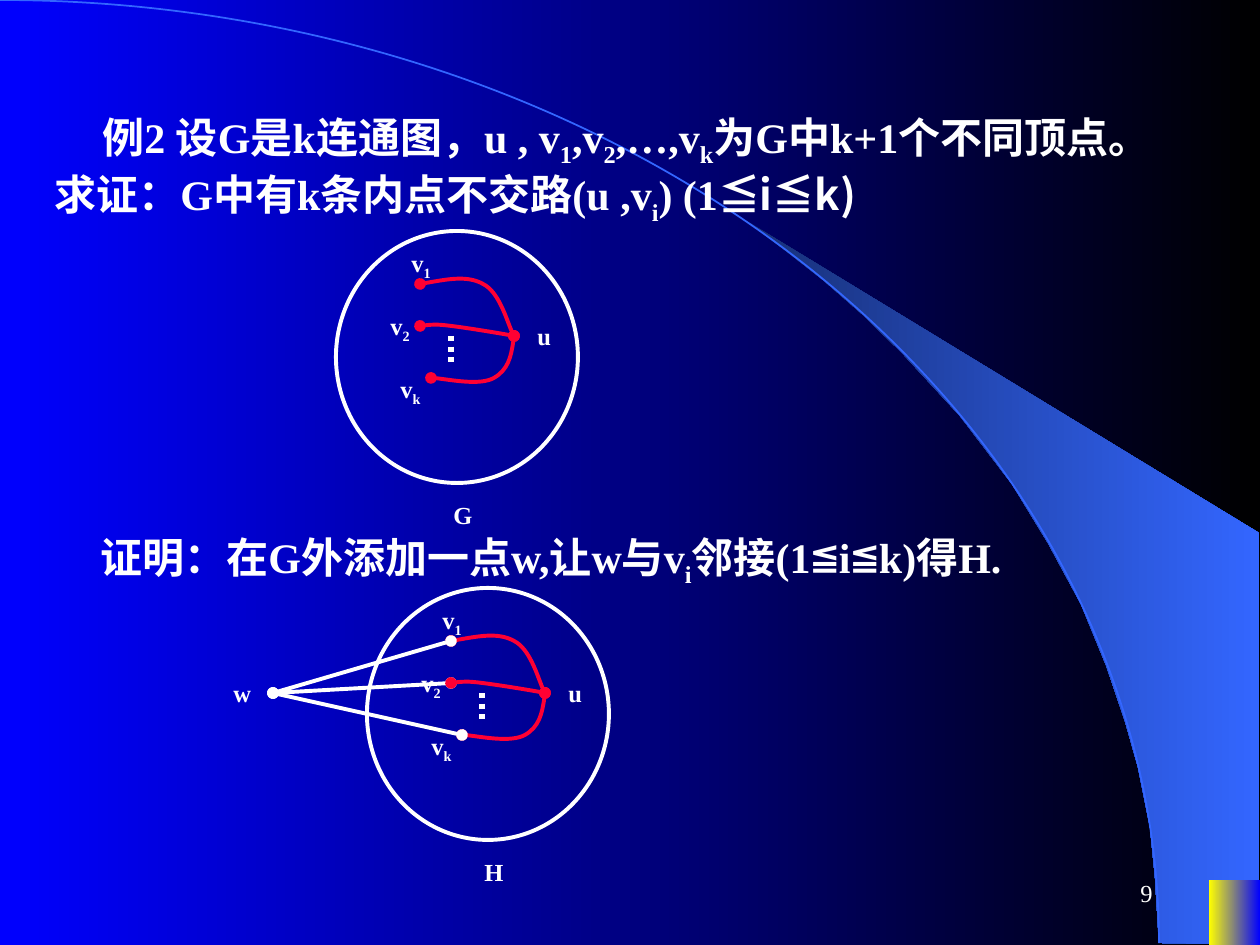
import dataclasses
import pptx
import pptx.dml.color
import pptx.enum.dml
import pptx.enum.shapes
import pptx.enum.text
import pptx.oxml
import pptx.oxml.ns
import pptx.util

SCALE = 914400 / 126


@dataclasses.dataclass(frozen=True)
class Theme:
    white: str = "FFFFFF"
    black: str = "000000"
    blue: str = "0000FF"
    sky: str = "3366FF"
    navy: str = "172F75"
    gold: str = "FFFF00"
    red: str = "FF0033"
    serif: str = "Times New Roman"
    sans: str = "Noto Sans CJK SC"
    body: int = 24
    small: int = 14
    thin: float = 1
    line: float = 2.25
    thick: float = 3


THEME = Theme()

HUB = (178, 105)
NODES = [(84, 53), (84, 95), (95, 147)]
PATHS = [
    [NODES[0], (108, 49), (131, 44), (147, 53), (163, 61), (173, 97), HUB],
    [NODES[1], (92, 94), (100, 93), (115, 95), (131, 97), (168, 103), HUB],
    [HUB, (176, 123), (172, 139), (158, 147), (144, 155), (105, 147), NODES[2]],
]
LABELS = [("v_1", 63, 11), ("u", 189, 84), ("v_2", 42, 74), ("v_k", 52, 137)]
WING = [
    (1159, 943), (1259, 944), (1259, 533), (742, 218), (786, 251),
    (823, 280), (863, 315), (902, 353), (960, 416), (1012, 484),
    (1048, 543), (1081, 604), (1106, 665), (1125, 721), (1138, 767),
    (1150, 827), (1155, 877), (1159, 943),
]


def px(value):
    return pptx.util.Emu(round(value * SCALE))


def rgb(name):
    return pptx.dml.color.RGBColor.from_string(name)


def child(parent, tag, **attrs):
    node = pptx.oxml.ns.qn(tag)
    item = parent.makeelement(node, attrs)
    parent.append(item)
    return item


def fade(fill, first, last):
    fill.gradient()
    fill.gradient_angle = 0
    for stop, color in zip(fill.gradient_stops, (first, last)):
        stop.color.rgb = rgb(color)


def stroke(shape, color, width, ends=False):
    shape.line.color.rgb = rgb(color)
    shape.line.width = pptx.util.Pt(width)
    if ends:
        ln = shape.line._get_or_add_ln()
        child(ln, "a:headEnd", type="oval")
        child(ln, "a:tailEnd", type="oval")


def trace(slide, points, close):
    spots = [(px(x), px(y)) for x, y in points]
    pen = slide.shapes.build_freeform(*spots[0], scale=1.0)
    pen.add_line_segments(spots[1:], close=close)
    shape = pen.convert_to_shape()
    shape.shadow.inherit = False
    return shape


def curve(slide, knots):
    shape = trace(slide, knots, False)
    route = shape._element.xpath(".//a:path")[0]
    legs = route.findall(pptx.oxml.ns.qn("a:lnTo"))
    for at in range(0, len(legs), 3):
        arc = child(route, "a:cubicBezTo")
        for leg in legs[at:at + 3]:
            arc.append(leg[0])
            route.remove(leg)
    shape.fill.background()
    stroke(shape, THEME.red, THEME.line, True)


def line(slide, start, end, width, dash=None, ends=False):
    kind = pptx.enum.shapes.MSO_CONNECTOR.STRAIGHT
    item = slide.shapes.add_connector(kind, *map(px, start + end))
    item.line.dash_style = dash
    stroke(item, THEME.white, width, ends)
    child(item._element.spPr, "a:effectLst")


def preset(slide, kind, box):
    shape = slide.shapes.add_shape(kind, *map(px, box))
    shape.shadow.inherit = False
    return shape


def outline(slide, kind, box, color, width):
    shape = preset(slide, kind, box)
    shape.fill.background()
    stroke(shape, color, width)


def style(run, size, bold=True, face=THEME.serif):
    font = run.font
    font.name = face
    font.size = pptx.util.Pt(size)
    font.bold = bold
    font.color.rgb = rgb(THEME.white)
    child(font._element, "a:ea", typeface=THEME.sans)


def text(slide, box, words, size, bold=True, tail=""):
    frame = slide.shapes.add_textbox(*map(px, box)).text_frame
    frame.word_wrap = True
    para = frame.paragraphs[0]
    for index, part in enumerate(words.split("_")):
        run = para.add_run()
        run.text = part
        style(run, size, bold)
        if index % 2:
            run.font._element.set("baseline", "-25000")
    if tail:
        run = para.add_run()
        run.text = tail
        style(run, size, bold, THEME.sans)
    return frame


def prose(slide, box, words, indent, tail=""):
    para = text(slide, box, words, THEME.body, tail=tail).paragraphs[0]
    para.space_before = pptx.util.Pt(15)
    para._p.get_or_add_pPr().set("indent", str(px(indent)))


def graph(slide, left, top, name, apex=None):
    def move(point):
        return left + point[0], top + point[1]

    def spoke(node):
        line(slide, apex, move(node), THEME.line, ends=True)

    if apex:
        spoke(NODES[1])
    oval = pptx.enum.shapes.MSO_SHAPE.OVAL
    outline(slide, oval, (left, top, 242, 252), THEME.white, THEME.line)
    for knots in PATHS:
        curve(slide, list(map(move, knots)))
    dots = pptx.enum.dml.MSO_LINE.ROUND_DOT
    line(slide, move((115, 105)), move((115, 136)), THEME.thick, dots)
    text(slide, (*move((105, 263)), 94, 43), name, THEME.small)
    for words, x, y in LABELS:
        wide, high = (54, 47) if "_" in words else (34, 43)
        text(slide, (*move((x, y)), wide, high), words, THEME.small)
    if apex:
        spoke(NODES[0])
        spoke(NODES[2])
        text(slide, (apex[0] - 52, apex[1] - 21, 44, 43), "w", THEME.small)


def scene(slide):
    shapes = pptx.enum.shapes.MSO_SHAPE
    fade(slide.background.fill, THEME.blue, THEME.black)
    wing = trace(slide, WING, False)
    fade(wing.fill, THEME.navy, THEME.sky)
    wing.line.fill.background()
    outline(slide, shapes.ARC, (-1159, 0, 2318, 1886), THEME.sky, THEME.thin)
    block = preset(slide, shapes.RECTANGLE, (1209, 880, 51, 65))
    fade(block.fill, THEME.gold, THEME.blue)
    block.line.fill.background()


def main():
    deck = pptx.Presentation()
    deck.slide_width, deck.slide_height = px(1260), px(945)
    slide = deck.slides.add_slide(deck.slide_layouts[6])
    scene(slide)
    prose(
        slide, (42, 105, 1092, 127),
        "例2 设G是k连通图，u , v_1_,v_2_,…,v_k_为G中k+1个不同顶点。"
        "求证：G中有k条内点不交路(u ,v_i_) (1",
        48, "≦i≦k)",
    )
    prose(
        slide, (21, 525, 1092, 121),
        "证明：在G外添加一点w,让w与v_i_邻接(1≦i≦k)得H.", 67,
    )
    graph(slide, 336, 231, "G")
    graph(slide, 367, 588, "H", (273, 693))
    page = text(slide, (903, 861, 262, 63), "9", THEME.small, False)
    page.vertical_anchor = pptx.enum.text.MSO_ANCHOR.MIDDLE
    page.paragraphs[0].alignment = pptx.enum.text.PP_ALIGN.RIGHT
    deck.save("out.pptx")


if __name__ == "__main__":
    main()
